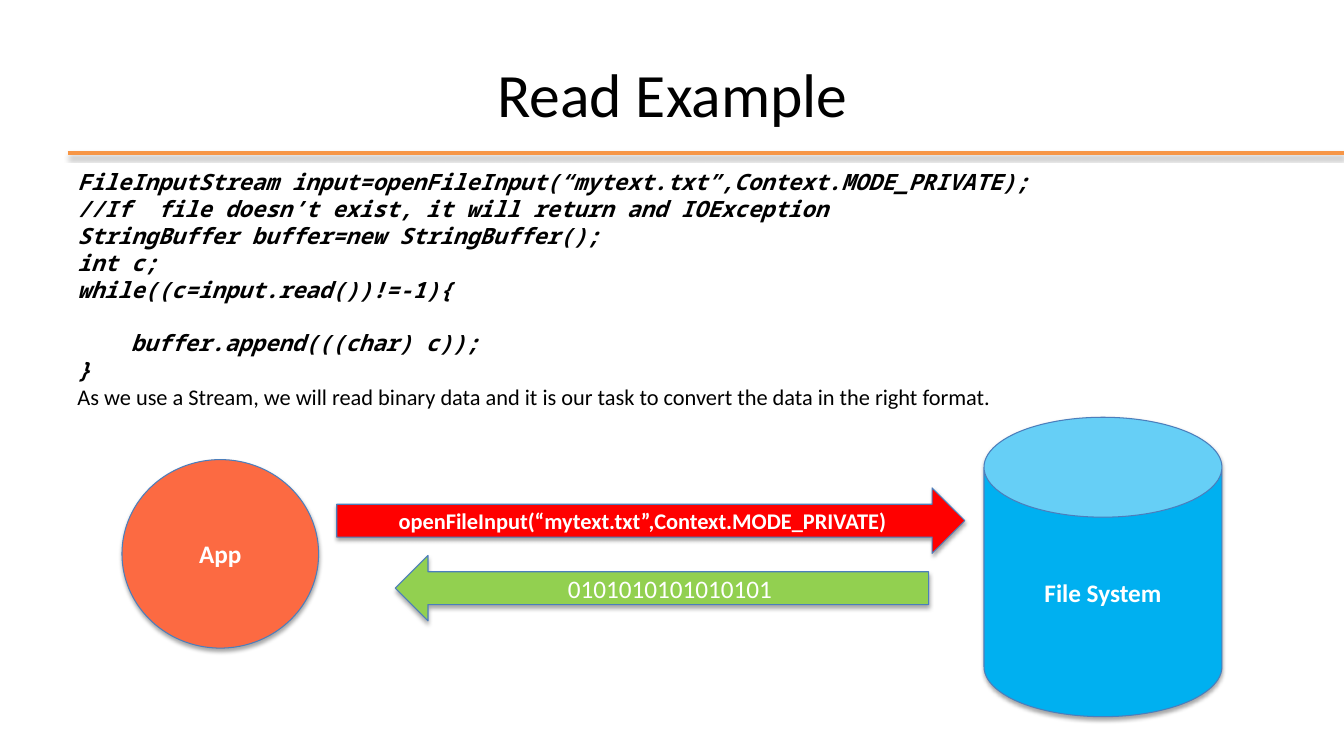
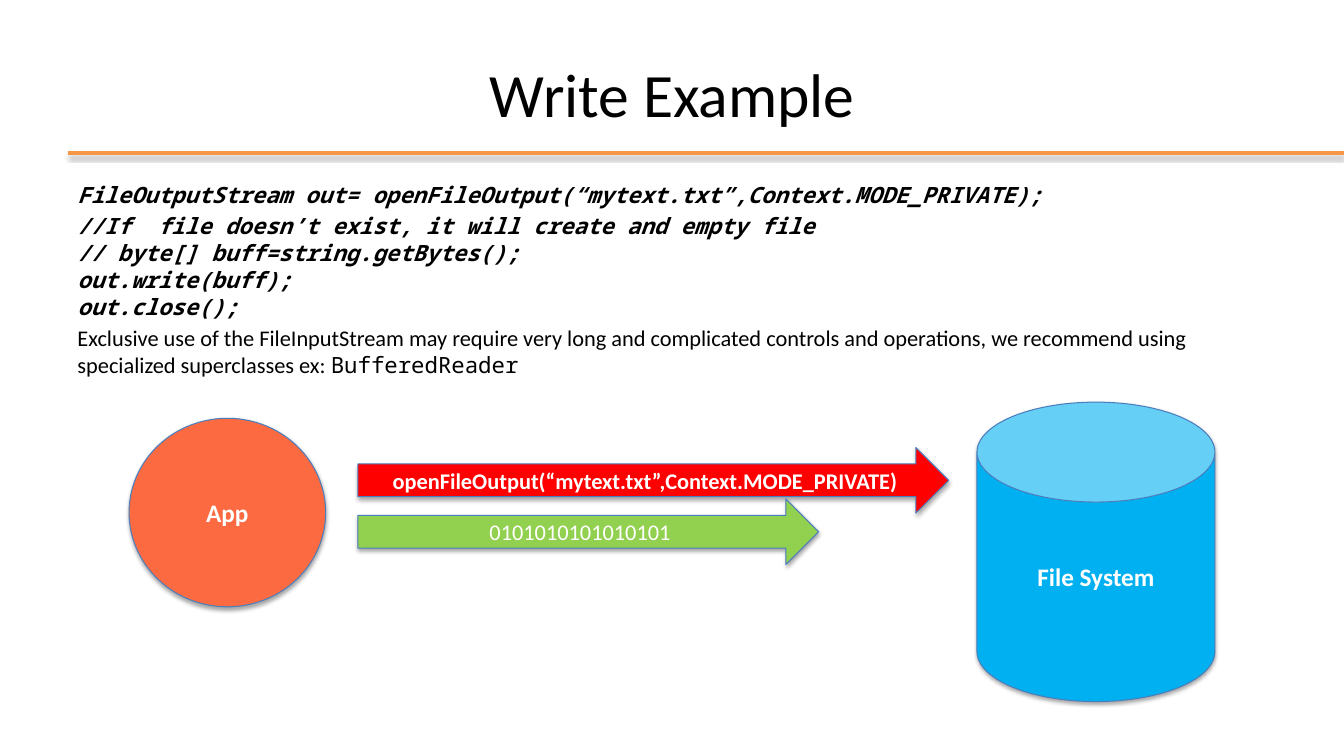
from dataclasses import dataclass

import lxml.etree
import pptx
import pptx.dml.color
import pptx.enum.shapes
import pptx.enum.text
import pptx.oxml.ns
import pptx.presentation
import pptx.shapes.autoshape
import pptx.shapes.base
import pptx.slide
import pptx.text.text
import pptx.util
from pptx.util import Inches, Pt

Kind = pptx.enum.shapes.MSO_SHAPE
Align = pptx.enum.text.PP_ALIGN
Anchor = pptx.enum.text.MSO_ANCHOR


@dataclass(frozen=True)
class Theme:
    black: str = "000000"
    white: str = "FFFFFF"
    rule: str = "F79646"
    outline: str = "4B7EBC"
    app: str = "FC6A42"
    storage: str = "00B0F0"
    call: str = "FF0000"
    data: str = "92D050"
    text_font: str = "Calibri"
    code_font: str = "Noto Sans Mono"
    title_size: float = 44
    label_size: float = 18
    body_size: float = 16


THEME = Theme()


@dataclass(frozen=True)
class Span:
    text: str
    code: bool = False
    strong: bool = False


@dataclass(frozen=True)
class Line:
    spans: tuple[Span, ...]
    before: float = 0
    indent: float = 0


@dataclass(frozen=True)
class Block:
    kind: Kind
    fill: str
    text: str
    left: float
    top: float
    width: float
    height: float
    size: float = THEME.label_size
    bold: bool = True


@dataclass(frozen=True)
class Example:
    title: str
    body_top: float
    body_height: float
    lines: tuple[Line, ...]
    blocks: tuple[Block, ...]


def code(text: str, before: float = 0, indent: float = 0) -> Line:
    return Line((Span(text, code=True, strong=True),), before, indent)


def app(left: float, top: float) -> Block:
    return Block(Kind.OVAL, THEME.app, "App", left, top, 1.95, 1.87)


def file_system(left: float, top: float) -> Block:
    return Block(Kind.CAN, THEME.storage, "File System", left, top, 2.36, 2.97)


def call_arrow(text: str, left: float, top: float, width: float) -> Block:
    return Block(Kind.RIGHT_ARROW, THEME.call, text, left, top, width, 0.65, THEME.body_size)


def data_arrow(kind: Kind, left: float, top: float, width: float, size: float) -> Block:
    return Block(kind, THEME.data, "0101010101010101", left, top, width, 0.65, size, bold=False)


PARA_GAP = 3.2
BLANK_LINE = 19
CODE_INDENT = 0.53

EXAMPLES = (
    Example(
        "Read Example", 1.61, 2.52,
        (
            code("FileInputStream input=openFileInput(“mytext.txt”,Context.MODE_PRIVATE);"),
            code("//If  file doesn’t exist, it will return and IOException"),
            code("StringBuffer buffer=new StringBuffer();"),
            code("int c;"),
            code("while((c=input.read())!=-1){"),
            code("buffer.append(((char) c));", before=BLANK_LINE, indent=CODE_INDENT),
            code("}"),
            Line((Span("As we use a Stream, we will read binary data and it is our task "
                       "to convert the data in the right format."),)),
        ),
        (
            app(1.21, 4.56),
            file_system(9.76, 4.14),
            call_arrow("openFileInput(“mytext.txt”,Context.MODE_PRIVATE)", 3.34, 4.84, 6.23),
            data_arrow(Kind.LEFT_ARROW, 3.92, 5.51, 5.29, THEME.label_size),
        ),
    ),
    Example(
        "Write Example", 1.73, 2.09,
        (
            code("FileOutputStream out= openFileOutput(“mytext.txt”,Context.MODE_PRIVATE);",
                 before=PARA_GAP),
            code("//If  file doesn’t exist, it will create and empty file", before=PARA_GAP),
            code("// byte[] buff=string.getBytes();"),
            code("out.write(buff);"),
            code("out.close();"),
            Line((Span("Exclusive use of the FileInputStream may require very long and "
                       "complicated controls and operations, we recommend using "
                       "specialized superclasses ex: "),
                  Span("BufferedReader", code=True)), before=PARA_GAP),
        ),
        (
            file_system(9.69, 3.99),
            call_arrow("openFileOutput(“mytext.txt”,Context.MODE_PRIVATE)", 3.55, 4.44, 5.86),
            data_arrow(Kind.RIGHT_ARROW, 3.55, 4.95, 4.57, THEME.body_size),
            app(1.28, 4.15),
        ),
    ),
)


def rgb(value: str) -> pptx.dml.color.RGBColor:
    return pptx.dml.color.RGBColor.from_string(value)


def add_span(para: pptx.text.text._Paragraph, text: str, *, size: float, color: str,
             font: str = THEME.text_font, bold: bool = False, italic: bool = False) -> None:
    span = para.add_run()
    span.text = text
    span.font.name = font
    span.font.size = Pt(size)
    span.font.color.rgb = rgb(color)
    span.font.bold = bold
    span.font.italic = italic


def add_shadow(shape: pptx.shapes.base.BaseShape) -> None:
    """Give the shape a soft shadow that falls straight down."""
    qn = pptx.oxml.ns.qn
    effects = lxml.etree.SubElement(shape.element.spPr, qn("a:effectLst"))
    shadow = lxml.etree.SubElement(
        effects, qn("a:outerShdw"), blurRad=str(Pt(3.1)), dist=str(Pt(1.8)),
        dir="5400000", rotWithShape="0")
    color = lxml.etree.SubElement(shadow, qn("a:srgbClr"), val=THEME.black)
    lxml.etree.SubElement(color, qn("a:alpha"), val="35000")


def add_rule(page: pptx.slide.Slide) -> None:
    rule = page.shapes.add_connector(
        pptx.enum.shapes.MSO_CONNECTOR.STRAIGHT,
        Inches(0.67), Inches(1.52), Inches(13.33), Inches(1.52))
    rule.line.color.rgb = rgb(THEME.rule)
    rule.line.width = Pt(3)
    add_shadow(rule)


def set_title(page: pptx.slide.Slide, text: str) -> None:
    title = page.shapes.title
    title.left, title.top = Inches(0.67), Inches(0.3)
    title.width, title.height = Inches(12), Inches(1.25)
    title.text_frame.vertical_anchor = Anchor.MIDDLE
    para = title.text_frame.paragraphs[0]
    para.alignment = Align.CENTER
    add_span(para, text, size=THEME.title_size, color=THEME.black)


def add_body(page: pptx.slide.Slide, example: Example) -> None:
    box = page.shapes.add_textbox(Inches(0.67), Inches(example.body_top),
                                  Inches(12), Inches(example.body_height))
    frame = box.text_frame
    frame.word_wrap = True
    frame.vertical_anchor = Anchor.MIDDLE
    for index, line in enumerate(example.lines):
        para = frame.add_paragraph() if index else frame.paragraphs[0]
        para.space_before = Pt(line.before)
        if line.indent:
            para._p.get_or_add_pPr().set("marL", str(Inches(line.indent)))
        for span in line.spans:
            add_span(para, span.text, size=THEME.body_size, color=THEME.black,
                     font=THEME.code_font if span.code else THEME.text_font,
                     bold=span.strong, italic=span.strong)


def add_block(page: pptx.slide.Slide, block: Block) -> None:
    shape = page.shapes.add_shape(block.kind, Inches(block.left), Inches(block.top),
                                  Inches(block.width), Inches(block.height))
    if block.kind == Kind.CAN:
        shape.adjustments[0] = 0.42
    shape.fill.solid()
    shape.fill.fore_color.rgb = rgb(block.fill)
    shape.line.color.rgb = rgb(THEME.outline)
    shape.line.width = Pt(0.75)
    add_shadow(shape)
    shape.text_frame.vertical_anchor = Anchor.MIDDLE
    para = shape.text_frame.paragraphs[0]
    para.alignment = Align.CENTER
    add_span(para, block.text, size=block.size, color=THEME.white, bold=block.bold)


def add_example(deck: pptx.presentation.Presentation, example: Example) -> None:
    page = deck.slides.add_slide(deck.slide_layouts.get_by_name("Title Only"))
    add_rule(page)
    set_title(page, example.title)
    add_body(page, example)
    for block in example.blocks:
        add_block(page, block)


def main() -> None:
    deck = pptx.Presentation()
    deck.slide_width, deck.slide_height = Inches(13.33), Inches(7.5)
    for example in EXAMPLES:
        add_example(deck, example)
    deck.save("out.pptx")


if __name__ == "__main__":
    main()
